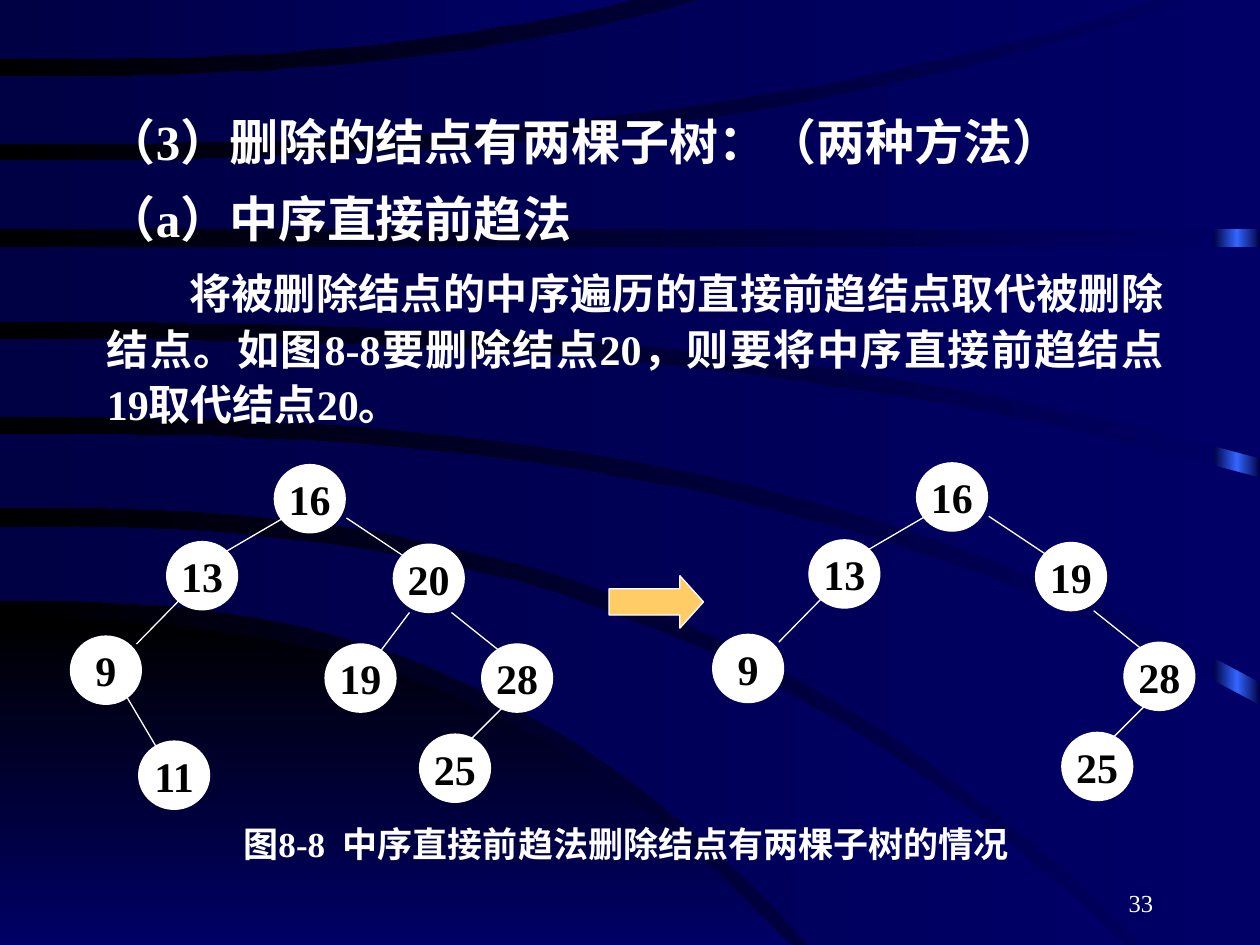
from copy import deepcopy

from lxml import etree
from pptx import Presentation
from pptx.dml.color import RGBColor
from pptx.enum.shapes import MSO_CONNECTOR, MSO_SHAPE
from pptx.enum.text import MSO_ANCHOR, PP_ALIGN
from pptx.oxml.ns import qn
from pptx.util import Pt

STRAIGHT = MSO_CONNECTOR.STRAIGHT
RECTANGLE, OVAL, RIGHT_ARROW = MSO_SHAPE.RECTANGLE, MSO_SHAPE.OVAL, MSO_SHAPE.RIGHT_ARROW
MIDDLE, BOTTOM = MSO_ANCHOR.MIDDLE, MSO_ANCHOR.BOTTOM
CENTER, RIGHT, JUSTIFY = PP_ALIGN.CENTER, PP_ALIGN.RIGHT, PP_ALIGN.JUSTIFY
LATIN, CJK = "Times New Roman", "Noto Sans CJK SC"
WHITE, BLACK, NAVY, DEEP_NAVY = "FFFFFF", "000000", "000066", "000044"
rgb = RGBColor.from_string


def fill_gradient(fill, start, end, clockwise_angle):
    fill.gradient()
    fill.gradient_angle = 360 - clockwise_angle
    for stop, color in zip(fill.gradient_stops, (start, end)):
        stop.color.rgb = rgb(color)


def style(paragraph, size, color=WHITE, bold=True, align=None):
    paragraph.alignment = align
    paragraph.font.name = LATIN
    paragraph.font.size = Pt(size)
    paragraph.font.bold = bold
    paragraph.font.color.rgb = rgb(color)


prs = Presentation()
prs.slide_width, prs.slide_height = Pt(720), Pt(540)
slide = prs.slides.add_slide(prs.slide_layouts[6])
shapes = slide.shapes

# Backdrop: glowing right edge, then the curved bands laid over it
fill_gradient(slide.background.fill, NAVY, BLACK, 180)

glow = shapes.add_shape(RECTANGLE, Pt(693.5), Pt(0), Pt(26.5), Pt(540))
glow.shadow.inherit = False
glow.line.fill.background()
fill_gradient(glow.fill, DEEP_NAVY, "3366FF", 180)
glow.fill.gradient_stops[1].position = 0.5
glow_stops = glow._element.spPr.find(".//" + qn("a:gsLst"))
last_stop = deepcopy(glow_stops[0])
last_stop.set("pos", "100000")
glow_stops.append(last_stop)

# Each band lies between two edges: height at the left side, then the end point.
# An edge starts level and bends ever more steeply towards its end.
CURVE_STEPS, BEND = 24, 2.6
bands = [
    ((354, 452, 540), (540, 452, 540)),
    ((301, 643, 540), (343, 462, 540)),
    ((248, 720, 403), (290, 654, 540)),
    ((194, 720, 273), (238, 720, 390)),
    ((141, 720, 141), (184, 720, 262)),
    ((92, 679, 0), (131, 720, 131)),
    ((44, 400, 0), (82, 660, 0)),
    ((0, 361, 0), (34, 361, 0)),
]
for index, band in enumerate(bands):
    upper, lower = [
        [(end_x * step / CURVE_STEPS,
          start_y + (end_y - start_y) * (step / CURVE_STEPS) ** BEND)
         for step in range(CURVE_STEPS + 1)]
        for start_y, end_x, end_y in band]
    near_end, far_end = sorted((upper[-1], lower[-1]))
    corner = (far_end[0], near_end[1])
    outline = upper + [corner] + lower[::-1]
    builder = shapes.build_freeform(*outline[0], scale=Pt(1))
    builder.add_line_segments(outline[1:], close=True)
    curve = builder.convert_to_shape()
    curve.shadow.inherit = False
    curve.line.fill.background()
    if index == 0:
        fill_gradient(curve.fill, BLACK, NAVY, 90)
    else:
        fill_gradient(curve.fill, NAVY, DEEP_NAVY, 180)

# Explanation
explanation = shapes.add_textbox(Pt(54), Pt(60), Pt(618), Pt(194.5)).text_frame
explanation.word_wrap = True
explanation.text = "\n".join([
    "（3）删除的结点有两棵子树：（两种方法）",
    "（a）中序直接前趋法",
    "将被删除结点的中序遍历的直接前趋结点取代被删除结点。"
    "如图8-8要删除结点20，则要将中序直接前趋结点19取代结点20。",
])
for paragraph, size, space in zip(explanation.paragraphs, (28, 28, 24), (17.5, 10.5, 9)):
    style(paragraph, size, align=JUSTIFY)
    paragraph.space_before = Pt(space)
method = explanation.paragraphs[2]
method.line_spacing = 1.1
method._p.get_or_add_pPr().set("indent", str(Pt(47)))

# Tree before and after deleting 20: node centres, and edges from parent to child
NODE_W, NODE_H = 40.5, 39
nodes = {
    "16": (177, 285), "11": (99.5, 443), "25": (260, 439), "28": (295.5, 387.5),
    "19": (206, 387.5), "9": (60.5, 383), "20": (245, 330.5), "13": (115.5, 329)}
edges = {
    ("16", "13"): (162, 296, 126, 317), ("13", "9"): (102, 343.5, 78, 368),
    ("9", "11"): (72, 397.5, 90, 428), ("16", "20"): (198, 296, 234, 320),
    ("20", "19"): (234, 350, 216, 374), ("20", "28"): (258, 350, 288, 374),
    ("28", "25"): (286.5, 405, 268.5, 423)}
trees = [(0, 0, (), {}), (367, -1, ("11", "19"), {"20": "19"})]
for dx, dy, removed, replaced in trees:
    for key, (x, y) in nodes.items():
        if key in removed:
            continue
        node = shapes.add_shape(OVAL, Pt(x + dx - NODE_W / 2), Pt(y + dy - NODE_H / 2),
                                Pt(NODE_W), Pt(NODE_H))
        node.shadow.inherit = False
        node.fill.solid()
        node.fill.fore_color.rgb = rgb(WHITE)
        node.line.color.rgb = rgb(WHITE)
        node.line.width = Pt(0.75)
        node.text_frame.word_wrap = False
        node.text_frame.vertical_anchor = MIDDLE
        node.text_frame.text = replaced.get(key, key)
        style(node.text_frame.paragraphs[0], 24, BLACK, align=CENTER)
    for (parent, child), (x1, y1, x2, y2) in edges.items():
        if child in removed:
            continue
        edge = shapes.add_connector(STRAIGHT, Pt(x1 + dx), Pt(y1 + dy), Pt(x2 + dx), Pt(y2 + dy))
        edge.line.color.rgb = rgb(WHITE)
        edge.line.width = Pt(0.75)
        etree.SubElement(edge._element.spPr, qn("a:effectLst"))

deletion = shapes.add_shape(RIGHT_ARROW, Pt(348), Pt(329), Pt(54), Pt(30))
deletion.adjustments[1] = 0.45
deletion.shadow.inherit = False
deletion.fill.solid()
deletion.fill.fore_color.rgb = rgb("FFCC66")
deletion.line.color.rgb = rgb(WHITE)
deletion.line.width = Pt(0.75)

# Caption and page number
caption = shapes.add_textbox(Pt(132), Pt(466.5), Pt(486), Pt(31.5)).text_frame
caption.word_wrap = True
caption_line = caption.paragraphs[0]
style(caption_line, 20)
caption_line.space_before = Pt(12.5)
for words, font in (("图", CJK), ("8-8  中序直接前趋法删除结点有两棵子树的情况", LATIN)):
    run = caption_line.add_run()
    run.text = words
    run.font.name = font

page_number = shapes.add_textbox(Pt(516), Pt(492), Pt(150), Pt(36)).text_frame
page_number.word_wrap = True
page_number.vertical_anchor = BOTTOM
page_number.text = "33"
style(page_number.paragraphs[0], 14, bold=False, align=RIGHT)

prs.save("out.pptx")
